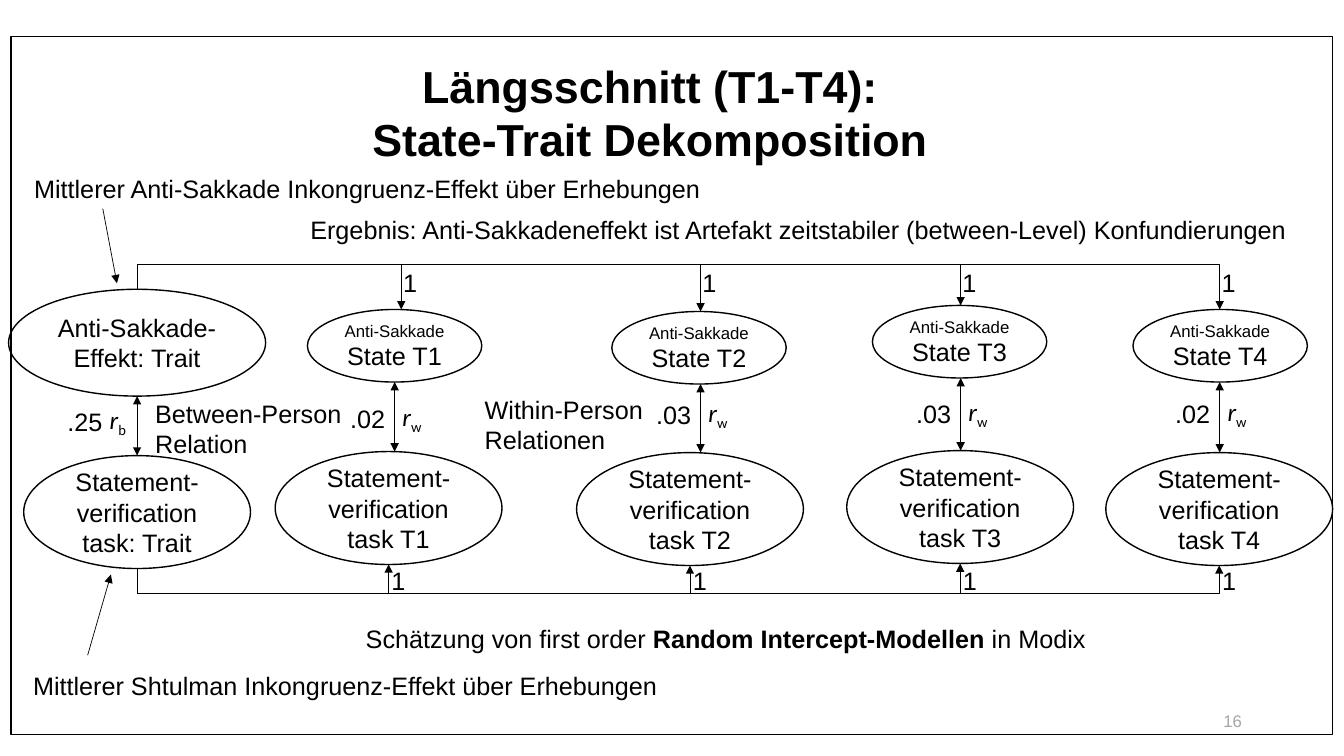
from dataclasses import dataclass

from pptx import Presentation
from pptx import util as u
from pptx.dml.color import RGBColor
from pptx.enum import shapes, text
from pptx.oxml import ns, xmlchemy
from lxml import etree


@dataclass(frozen=True)
class Theme:
    ink: str = "000000"
    muted: str = "A6A6A6"
    font: str = "Arial"
    symbol_font: str = "Calibri"
    title: int = 32
    body: int = 18
    small: int = 12
    outline: float = 1
    arrow: float = 0.5


@dataclass(frozen=True)
class Wave:
    """One survey wave; x and y positions in grid units."""
    name: str
    relation: str
    axis: float
    drop: float
    state_x: float
    state_top: float
    task_x: float
    task_top: float
    label_top: float


THEME = Theme()
CELL = 0.1  # inches per grid column and row
COLUMNS, ROWS = 133.33, 75
CENTER, RIGHT = text.PP_ALIGN.CENTER, text.PP_ALIGN.RIGHT
MIDDLE = text.MSO_ANCHOR.MIDDLE

STATE_WIDTH, STATE_HEIGHT = 17.3, 7.2
TASK_WIDTH, TASK_HEIGHT = 22.5, 11.2
TRAIT_X, TRAIT_TOP, TRAIT_BOTTOM = 13.6, 28.7, 39.3
TASK_TRAIT_TOP = 45.2
UPPER_RAIL, LOWER_RAIL = 26.2, 58.9

WAVES = [
    Wave("T1", ".02", 39.15, 39.8, 39.15, 30.7, 38.55, 44.8, 39.5),
    Wave("T2", ".03", 69.5, 69.5, 69.35, 30.9, 68.45, 44.9, 39.1),
    Wave("T3", ".03", 95.3, 95.3, 95.2, 30.3, 95.25, 44.7, 39),
    Wave("T4", ".02", 121, 121, 121.05, 30.7, 120.95, 44.9, 39),
]


def grid(units):
    return u.Inches(units * CELL)


def write(frame, paragraphs, align=None, anchor=text.MSO_ANCHOR.TOP, **style):
    """Fill a frame; a paragraph is a string or a list of (string, style) runs."""
    frame.word_wrap = True
    frame.vertical_anchor = anchor
    for index, runs in enumerate(paragraphs):
        para = frame.paragraphs[0] if index == 0 else frame.add_paragraph()
        para.alignment = align
        for words, extra in [(runs, {})] if isinstance(runs, str) else runs:
            look = {**style, **extra}
            span = para.add_run()
            span.text = words
            span.font.name = look.get("font", THEME.font)
            span.font.size = u.Pt(look.get("size", THEME.body))
            span.font.bold = look.get("bold", False)
            span.font.italic = look.get("italic", False)
            span.font.color.rgb = RGBColor.from_string(look.get("color", THEME.ink))
            if "baseline" in look:
                span.font._element.set("baseline", str(look["baseline"] * 1000))


class Page:
    def __init__(self, deck, theme):
        self.theme = theme
        self.shapes = deck.slides.add_slide(deck.slide_layouts[6]).shapes

    def label(self, left, top, width, *paragraphs, height=4, **style):
        box = self.shapes.add_textbox(*map(grid, (left, top, width, height)))
        write(box.text_frame, paragraphs, **style)

    def outline(self, kind, left, top, width, height):
        shape = self.shapes.add_shape(kind, *map(grid, (left, top, width, height)))
        shape.shadow.inherit = False
        shape.fill.background()
        shape.line.color.rgb = RGBColor.from_string(self.theme.ink)
        shape.line.width = u.Pt(self.theme.outline)
        return shape

    def oval(self, center, top, width, height, *paragraphs):
        shape = self.outline(shapes.MSO_SHAPE.OVAL, center - width / 2, top, width, height)
        write(shape.text_frame, paragraphs, align=CENTER, anchor=MIDDLE)

    def arrow(self, x1, y1, x2, y2, both=False, kind=shapes.MSO_CONNECTOR.STRAIGHT):
        line = self.shapes.add_connector(kind, *map(grid, (x1, y1, x2, y2)))
        line.line.color.rgb = RGBColor.from_string(self.theme.ink)
        line.line.width = u.Pt(self.theme.arrow)
        for end in ["headEnd", "tailEnd"] if both else ["tailEnd"]:
            etree.SubElement(line.line._get_or_add_ln(), ns.qn("a:" + end), type="triangle")
        etree.SubElement(line._element.spPr, ns.qn("a:effectLst"))
        return line

    def rail(self, x1, y1, x2, y2, rail_y):
        """Elbow arrow that leaves vertically, runs along rail_y and ends vertically."""
        middle_x, middle_y = (x1 + x2) / 2, (y1 + y2) / 2
        run, rise = (x2 - x1) / 2, (y2 - y1) / 2
        half = abs(rise)
        # The elbow is laid out sideways and then turned by a quarter.
        tilt = run if rise > 0 else -run
        line = self.arrow(middle_x + half, middle_y - tilt, middle_x - half,
                          middle_y + tilt, kind=shapes.MSO_CONNECTOR.ELBOW)
        properties = line._element.spPr
        quarter = 270 if rise > 0 else 90
        properties.find(ns.qn("a:xfrm")).set("rot", str(quarter * 60000))
        bend = round((rail_y - y1) / (y2 - y1) * 100000)
        guides = properties.find(ns.qn("a:prstGeom")).get_or_add_avLst()
        etree.SubElement(guides, ns.qn("a:gd"), name="adj1", fmla=f"val {bend}")

    def symbol(self, left, top, index):
        self.label(left, top, 6.7, [("r", {"italic": True}), (index, {"baseline": -25})],
                   font=self.theme.symbol_font)

    def wave(self, wave):
        task_bottom = wave.task_top + TASK_HEIGHT
        self.rail(TRAIT_X, TRAIT_TOP, wave.drop, wave.state_top, UPPER_RAIL)
        self.rail(TRAIT_X, TASK_TRAIT_TOP + TASK_HEIGHT, wave.task_x, task_bottom, LOWER_RAIL)
        self.oval(wave.state_x, wave.state_top, STATE_WIDTH, STATE_HEIGHT,
                  [("Anti-Sakkade", {"size": self.theme.small})], f"State {wave.name}")
        self.oval(wave.task_x, wave.task_top, TASK_WIDTH, TASK_HEIGHT,
                  f"Statement-verification task {wave.name}")
        self.arrow(wave.axis, wave.state_top + STATE_HEIGHT, wave.axis, wave.task_top, both=True)
        self.label(wave.drop - 0.8, 26, 3.3, "1")
        self.label(wave.task_x - 0.7, 55.6, 3.3, "1")
        self.label(wave.axis - 5.4, wave.label_top, 6.5, wave.relation)
        self.symbol(wave.axis - 0.2, wave.label_top - 0.2, "w")


def main():
    deck = Presentation()
    deck.slide_width, deck.slide_height = grid(COLUMNS), grid(ROWS)
    page = Page(deck, THEME)

    page.outline(shapes.MSO_SHAPE.RECTANGLE, 1.1, 3.6, 131.1, 69.3)
    page.label(5.5, 5.3, 118, "Längsschnitt (T1-T4):", "State-Trait Dekomposition",
               height=11.8, align=CENTER, size=THEME.title, bold=True)
    page.label(2.4, 16.7, 75.2, "Mittlerer Anti-Sakkade Inkongruenz-Effekt über Erhebungen")
    page.label(29.8, 20.8, 100.9, "Ergebnis: Anti-Sakkadeneffekt ist Artefakt zeitstabiler "
               "(between-Level) Konfundierungen")

    page.oval(TRAIT_X, TRAIT_TOP, 25.5, TRAIT_BOTTOM - TRAIT_TOP, "Anti-Sakkade-Effekt: Trait")
    page.oval(TRAIT_X, TASK_TRAIT_TOP, TASK_WIDTH, TASK_HEIGHT,
              "Statement-verification task: Trait")
    page.arrow(TRAIT_X, TRAIT_BOTTOM, TRAIT_X, TASK_TRAIT_TOP, both=True)
    page.label(5.7, 39.8, 6.5, ".25")
    page.symbol(9.9, 39.6, "b")
    page.label(14.4, 39, 60.5, "Between-Person", "Relation", height=7.1)
    page.label(47.1, 38.6, 19.3, "Within-Person", "Relationen", height=7.1)
    for wave in WAVES:
        page.wave(wave)

    page.arrow(10.2, 20.7, 11.6, 28.1)
    page.arrow(8.7, 65, 11, 57)
    page.label(35.3, 61.3, 80.5, [("Schätzung von first order ", {}),
               ("Random Intercept-Modellen", {"bold": True}), (" in Modix", {})])
    page.label(2.3, 66, 75.2, "Mittlerer Shtulman Inkongruenz-Effekt über Erhebungen")
    page.label(94.2, 69.5, 30, "16", align=RIGHT, anchor=MIDDLE,
               size=THEME.small, color=THEME.muted)
    deck.save("out.pptx")


if __name__ == "__main__":
    main()
